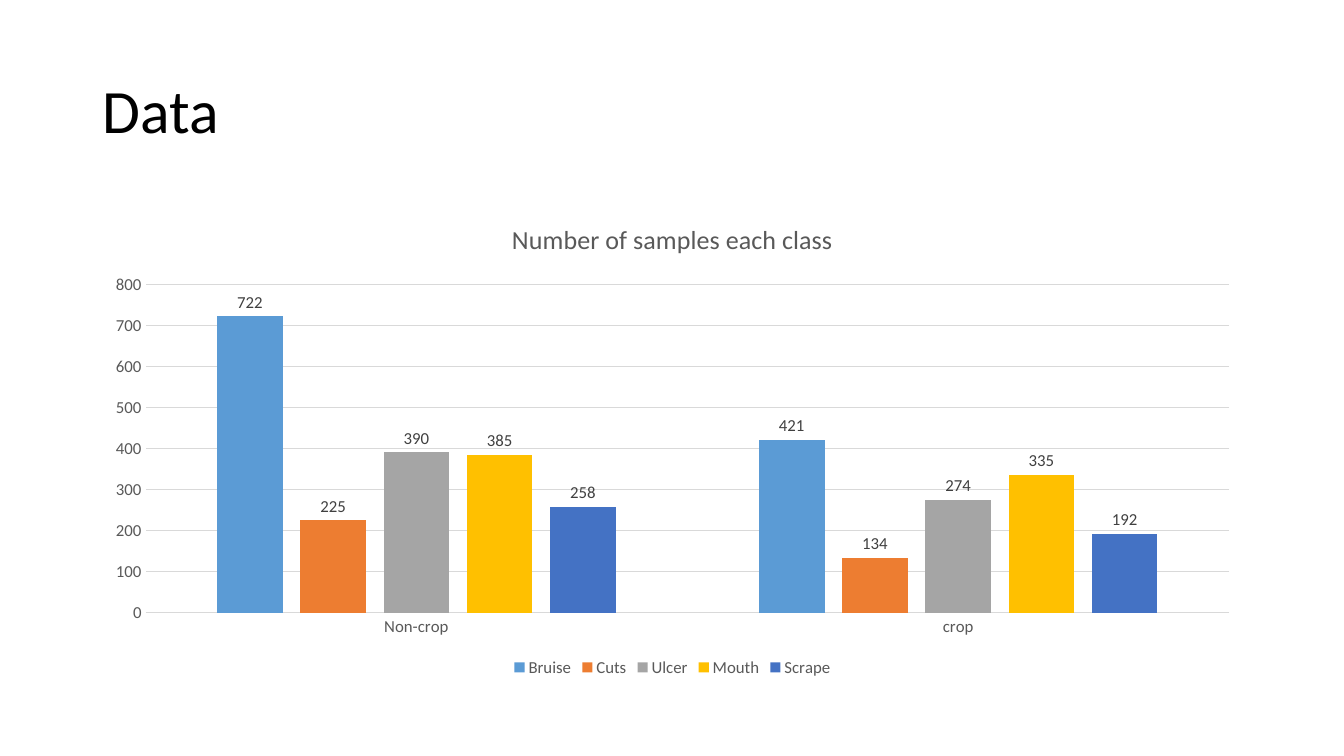
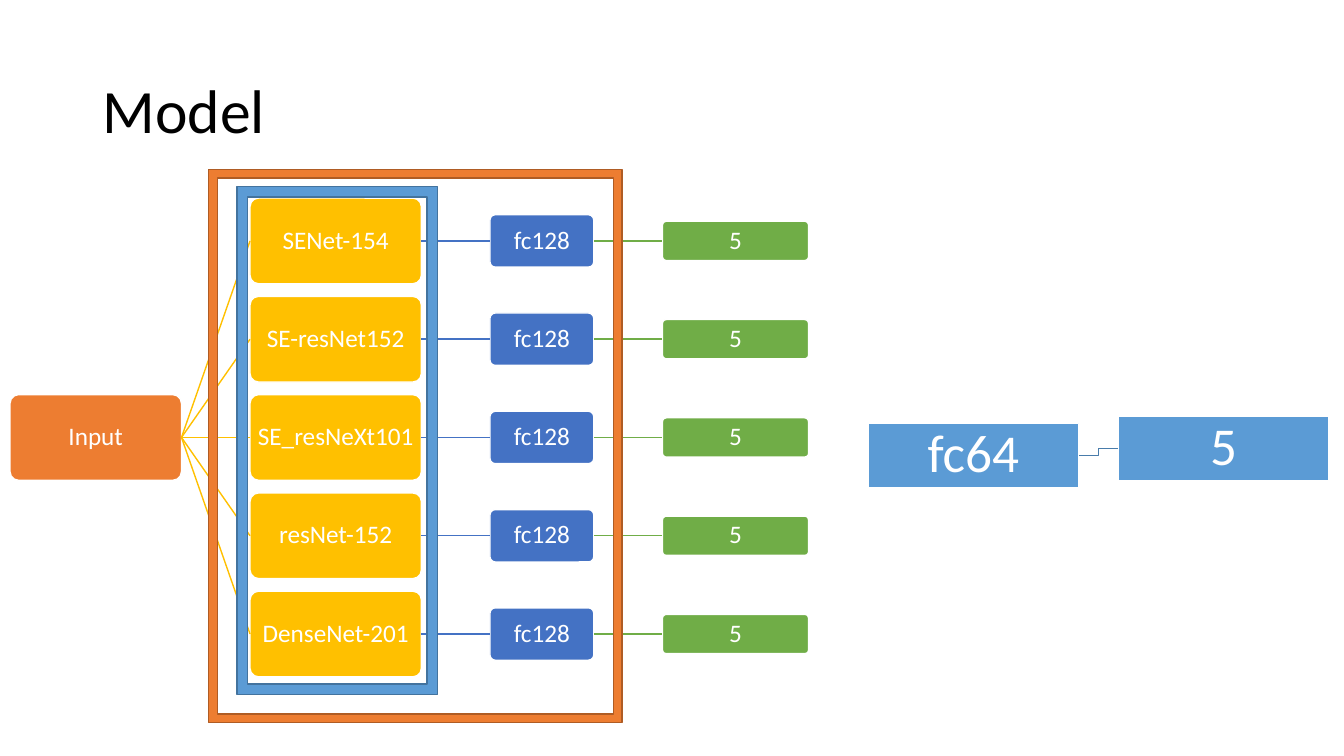
from lxml import etree
from pptx import Presentation
from pptx.chart.data import CategoryChartData
from pptx.dml.color import RGBColor
from pptx.enum.chart import XL_CHART_TYPE, XL_LABEL_POSITION, XL_LEGEND_POSITION, XL_TICK_MARK
from pptx.enum.shapes import MSO_CONNECTOR, MSO_SHAPE
from pptx.enum.text import MSO_ANCHOR, MSO_AUTO_SIZE, PP_ALIGN
from pptx.oxml.ns import qn
from pptx.util import Emu, Pt

COLUMN = XL_CHART_TYPE.COLUMN_CLUSTERED
OUTSIDE = XL_LABEL_POSITION.OUTSIDE_END
BOTTOM = XL_LEGEND_POSITION.BOTTOM
NO_TICK = XL_TICK_MARK.NONE
STRAIGHT, ELBOW = MSO_CONNECTOR.STRAIGHT, MSO_CONNECTOR.ELBOW
ROUND, RECT, FRAME = MSO_SHAPE.ROUNDED_RECTANGLE, MSO_SHAPE.RECTANGLE, MSO_SHAPE.FRAME
MIDDLE = MSO_ANCHOR.MIDDLE
LEFT, CENTER = PP_ALIGN.LEFT, PP_ALIGN.CENTER
NO_FIT = MSO_AUTO_SIZE.NONE

BLACK = RGBColor(0x00, 0x00, 0x00)
WHITE = RGBColor(0xFF, 0xFF, 0xFF)
DARK = RGBColor(0x40, 0x40, 0x40)
GREY = RGBColor(0x59, 0x59, 0x59)
PALE = RGBColor(0xD9, 0xD9, 0xD9)
BLUE = RGBColor(0x5B, 0x9B, 0xD5)
ORANGE = RGBColor(0xED, 0x7D, 0x31)
SILVER = RGBColor(0xA5, 0xA5, 0xA5)
GOLD = RGBColor(0xFF, 0xC0, 0x00)
NAVY = RGBColor(0x44, 0x72, 0xC4)
GREEN = RGBColor(0x70, 0xAD, 0x47)
STEEL = RGBColor(0x49, 0x7C, 0xAB)
BLUE_EDGE = RGBColor(0x43, 0x73, 0x9E)
RUST = RGBColor(0xAF, 0x5C, 0x24)

FONT = "Calibri"
PX = 9144
TITLE_BOX = (92, 40, 1150, 145)

CHART_TITLE = "Number of samples each class"
CHART_BOX = (92, 200, 1150, 476)
GROUPS = ["Non-crop", "crop"]
SERIES = [
    ("Bruise", (722, 421), BLUE),
    ("Cuts", (225, 134), ORANGE),
    ("Ulcer", (390, 274), SILVER),
    ("Mouth", (385, 335), GOLD),
    ("Scrape", (258, 192), NAVY),
]

NETS = ["SENet-154", "SE-resNet152", "SE_resNeXt101", "resNet-152", "DenseNet-201"]
MID_Y, PITCH = 434, 97.5
INPUT = (10, 170, 85, ORANGE)
STAGES = [
    (248, 170, 85, GOLD, None),
    (486, 103, 52, NAVY, "fc128"),
    (657, 145, 39, GREEN, "5"),
]
HEAD = [("fc64", (861, 420, 209, 64)), ("5", (1109, 413, 209, 64))]
FRAMES = [
    ((235, 185, 199, 504), 0.053, BLUE, BLUE_EDGE),
    ((207, 168, 410, 549), 0.021, ORANGE, RUST),
]


def emu(box):
    return [Emu(round(v * PX)) for v in box]


def style(font, size, color):
    font.name, font.size, font.bold = FONT, Pt(size), False
    font.color.rgb = color


def write(frame, text, size, color, align):
    frame.text = text
    frame.word_wrap = True
    frame.auto_size = NO_FIT
    frame.vertical_anchor = MIDDLE
    para = frame.paragraphs[0]
    para.alignment, para.line_spacing = align, 0.9
    style(para.runs[0].font, size, color)


def add_page(deck, text):
    slide = deck.slides.add_slide(deck.slide_layouts[5])
    title = slide.shapes.title
    title.left, title.top, title.width, title.height = emu(TITLE_BOX)
    write(title.text_frame, text, 44, BLACK, LEFT)
    return slide


def add_shape(slide, kind, box, fill, edge, adjust=None):
    shape = slide.shapes.add_shape(kind, *emu(box))
    shape.shadow.inherit = False
    shape.fill.solid()
    shape.fill.fore_color.rgb = fill
    shape.line.color.rgb = edge
    shape.line.width = Pt(1)
    if adjust is not None:
        shape.adjustments[0] = adjust
    return shape


def add_label(shape, text, size, inset):
    frame = shape.text_frame
    frame.margin_left = frame.margin_right = Emu(inset * PX)
    frame.margin_top = frame.margin_bottom = Emu(inset * PX)
    write(frame, text, size, WHITE, CENTER)


def add_node(slide, text, mid, left, width, height, fill):
    box = (left, mid - height / 2, width, height)
    node = add_shape(slide, ROUND, box, fill, WHITE, 0.1)
    add_label(node, text, 18, 1)
    return node


def link(slide, start, end, color, kind=STRAIGHT):
    line = slide.shapes.add_connector(kind, 0, 0, 0, 0)
    line.begin_connect(start, 3)
    line.end_connect(end, 1)
    line.line.color.rgb = color
    line.line.width = Pt(1)
    etree.SubElement(line._element.spPr, qn("a:effectLst"))


def add_data(deck):
    slide = add_page(deck, "Data")
    data = CategoryChartData()
    data.categories = GROUPS
    for name, vals, _ in SERIES:
        data.add_series(name, vals)
    chart = slide.shapes.add_chart(COLUMN, *emu(CHART_BOX), data).chart
    style(chart.font, 10, BLACK)
    chart.has_title = True
    chart.chart_title.include_in_layout = False
    head = chart.chart_title.text_frame
    head.text = CHART_TITLE
    style(head.paragraphs[0].runs[0].font, 18.6, GREY)
    chart.has_legend = True
    chart.legend.position = BOTTOM
    chart.legend.include_in_layout = False
    style(chart.legend.font, 12, GREY)

    cats, vals = chart.category_axis, chart.value_axis
    for axis in (cats, vals):
        axis.major_tick_mark = axis.minor_tick_mark = NO_TICK
        style(axis.tick_labels.font, 12, GREY)
    vals.minimum_scale, vals.maximum_scale, vals.major_unit = 0, 800, 100
    vals.format.line.fill.background()
    for rule in (cats.format.line, vals.major_gridlines.format.line):
        rule.color.rgb = PALE
        rule.width = Pt(0.75)

    plot = chart.plots[0]
    plot.gap_width, plot.overlap = 219, -27
    plot.vary_by_categories = False
    for bars, (_, _, color) in zip(plot.series, SERIES):
        bars.format.fill.solid()
        bars.format.fill.fore_color.rgb = color
        labels = bars.data_labels
        labels.show_value = True
        labels.position = OUTSIDE
        style(labels.font, 12, DARK)


def add_model(deck):
    slide = add_page(deck, "Model")
    root = add_node(slide, "Input", MID_Y, *INPUT)
    for row, net in enumerate(NETS):
        mid = MID_Y + (row - len(NETS) // 2) * PITCH
        prior = root
        for left, width, height, color, text in STAGES:
            node = add_node(slide, text or net, mid, left, width, height, color)
            link(slide, prior, node, color)
            prior = node

    ends = []
    for text, box in HEAD:
        node = add_shape(slide, RECT, box, BLUE, WHITE)
        add_label(node, text, 38, 3)
        ends.append(node)
    link(slide, *ends, STEEL, ELBOW)

    for box, adjust, fill, edge in FRAMES:
        add_shape(slide, FRAME, box, fill, edge, adjust)


def main():
    deck = Presentation()
    deck.slide_width, deck.slide_height = emu((1333, 750))
    add_data(deck)
    add_model(deck)
    deck.save("out.pptx")


if __name__ == "__main__":
    main()
